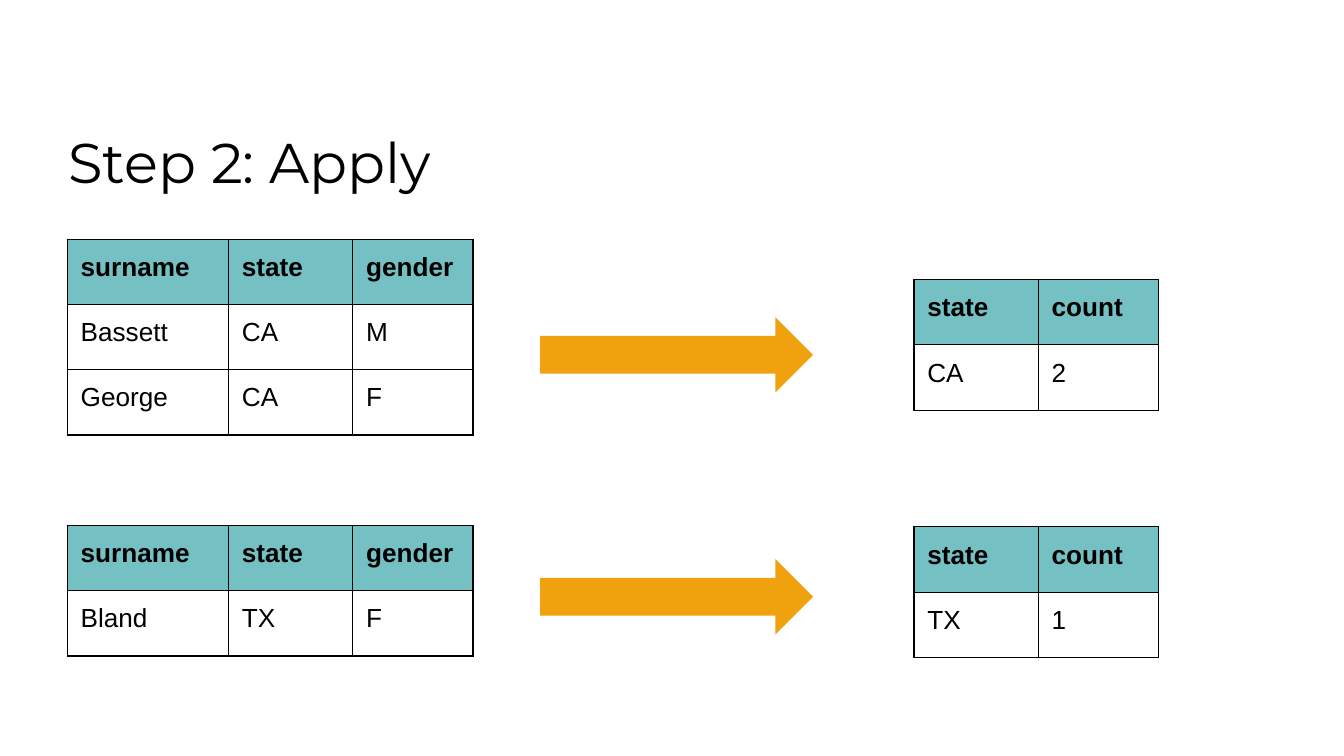
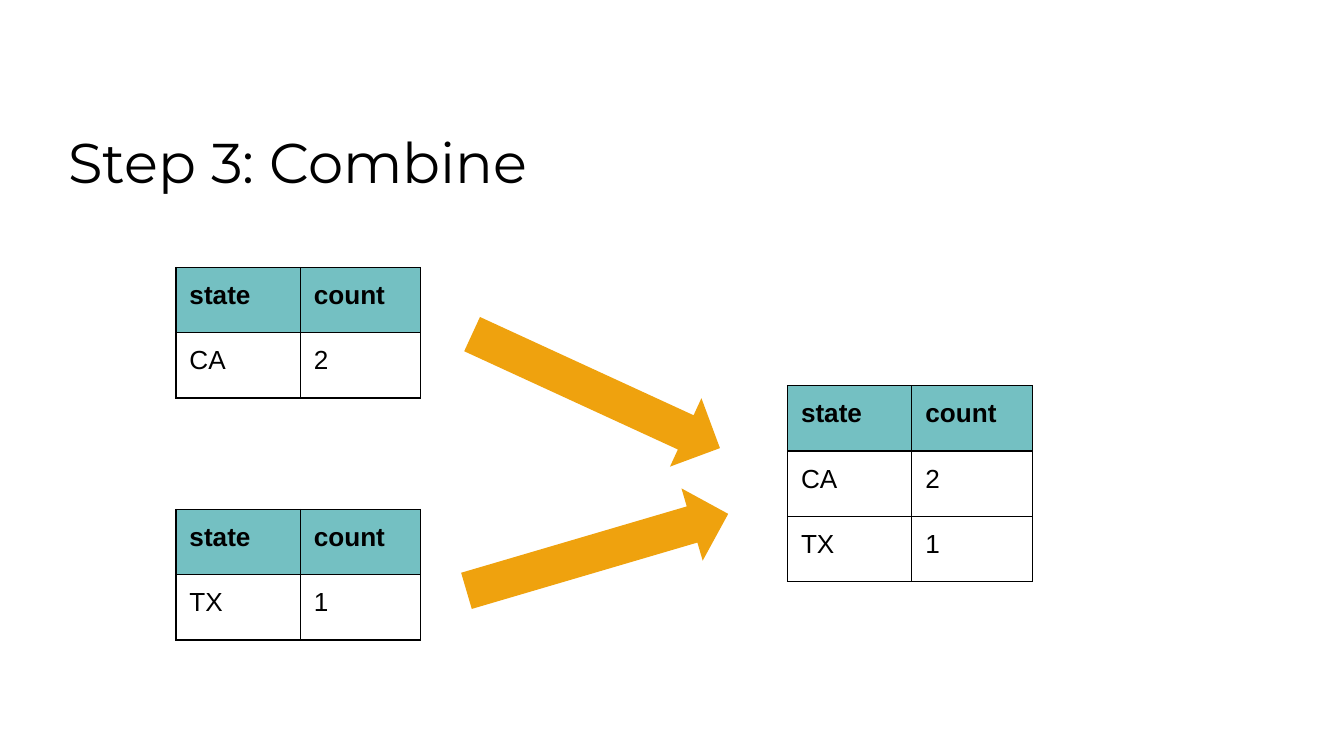
from lxml import etree
from pptx import Presentation
from pptx import util as u
from pptx.dml.color import RGBColor
from pptx.enum import shapes, text
from pptx.oxml.ns import qn

BLACK = RGBColor(0x00, 0x00, 0x00)
TEAL = RGBColor(0x74, 0xC0, 0xC2)
ORANGE = RGBColor(0xEF, 0xA2, 0x0E)

deck = Presentation()
deck.slide_width = u.Inches(10)
deck.slide_height = deck.slide_width * 9 // 16
title_only = deck.slide_layouts[5]

COLUMN = deck.slide_width / 100
ROW = deck.slide_height / 100
PADDING = int(COLUMN)
RECORD_HEIGHT = 8.64
FIELD_WIDTHS = {"surname": 12, "state": 9.25, "gender": 8.95, "count": 8.95}
ARROW_WIDTH, ARROW_HEIGHT = 20.3, 9.96

PEOPLE = ("surname", "state", "gender")
COUNTS = ("state", "count")
CALIFORNIA = ("CA", "2")
TEXAS = ("TX", "1")

STEPS = [
    {
        "heading": "Step 2: Apply",
        "arrows": [(40.2, 41.96, 0), (40.2, 73.96, 0)],
        "tables": [
            (5, 31.64, [PEOPLE, ("Bassett", "CA", "M"), ("George", "CA", "F")]),
            (5, 69.51, [PEOPLE, ("Bland", "TX", "F")]),
            (68, 36.98, [COUNTS, CALIFORNIA]),
            (68, 69.69, [COUNTS, TEXAS]),
        ],
    },
    {
        "heading": "Step 3: Combine",
        "arrows": [(34.2, 46.76, 24.7), (34.3, 68.09, 343.6)],
        "tables": [
            (13.1, 35.38, [COUNTS, CALIFORNIA]),
            (13.1, 67.38, [COUNTS, TEXAS]),
            (58.6, 51.02, [COUNTS, CALIFORNIA, TEXAS]),
        ],
    },
]


def area(left, top, width, height):
    return int(left * COLUMN), int(top * ROW), int(width * COLUMN), int(height * ROW)


def write(holder, wording, *, font="Arial", size=14, bold=False):
    holder.margin_left = holder.margin_right = PADDING
    holder.margin_top = holder.margin_bottom = PADDING
    holder.vertical_anchor = text.MSO_ANCHOR.TOP
    frame = getattr(holder, "text_frame", holder)
    frame.word_wrap = True
    paragraph = frame.paragraphs[0]
    paragraph.alignment = text.PP_ALIGN.LEFT
    run = paragraph.add_run()
    run.text = wording
    run.font.name = font
    run.font.size = u.Pt(size)
    run.font.bold = bold
    run.font.color.rgb = BLACK


for step in STEPS:
    slide = deck.slides.add_slide(title_only)
    heading = slide.shapes.title
    heading.left, heading.top, heading.width, heading.height = area(4.1, 15.11, 92.5, 76.27)
    heading.text_frame.auto_size = text.MSO_AUTO_SIZE.NONE
    write(heading.text_frame, step["heading"], font="Montserrat", size=30)

    for left, top, angle in step["arrows"]:
        arrow = slide.shapes.add_shape(
            shapes.MSO_SHAPE.RIGHT_ARROW, *area(left, top, ARROW_WIDTH, ARROW_HEIGHT)
        )
        arrow.rotation = angle
        arrow.shadow.inherit = False
        arrow.fill.solid()
        arrow.fill.fore_color.rgb = ORANGE
        arrow.line.fill.background()

    for left, top, records in step["tables"]:
        fields = records[0]
        widths = [FIELD_WIDTHS[field] for field in fields]
        table = slide.shapes.add_table(
            len(records), len(fields),
            *area(left, top, sum(widths), len(records) * RECORD_HEIGHT),
        ).table
        table.horz_banding = False
        for column, width in zip(table.columns, widths):
            column.width = int(width * COLUMN)

        for r, record in enumerate(records):
            for c, value in enumerate(record):
                cell = table.cell(r, c)
                write(cell, value, bold=r == 0)
                properties = cell._tc.get_or_add_tcPr()
                for side in ("a:lnL", "a:lnR", "a:lnT", "a:lnB"):
                    border = etree.SubElement(properties, qn(side), w=str(u.Pt(0.75)))
                    ink = etree.SubElement(border, qn("a:solidFill"))
                    etree.SubElement(ink, qn("a:srgbClr"), val=str(BLACK))
                if r == 0:
                    cell.fill.solid()
                    cell.fill.fore_color.rgb = TEAL
                else:
                    cell.fill.background()

deck.save("out.pptx")
